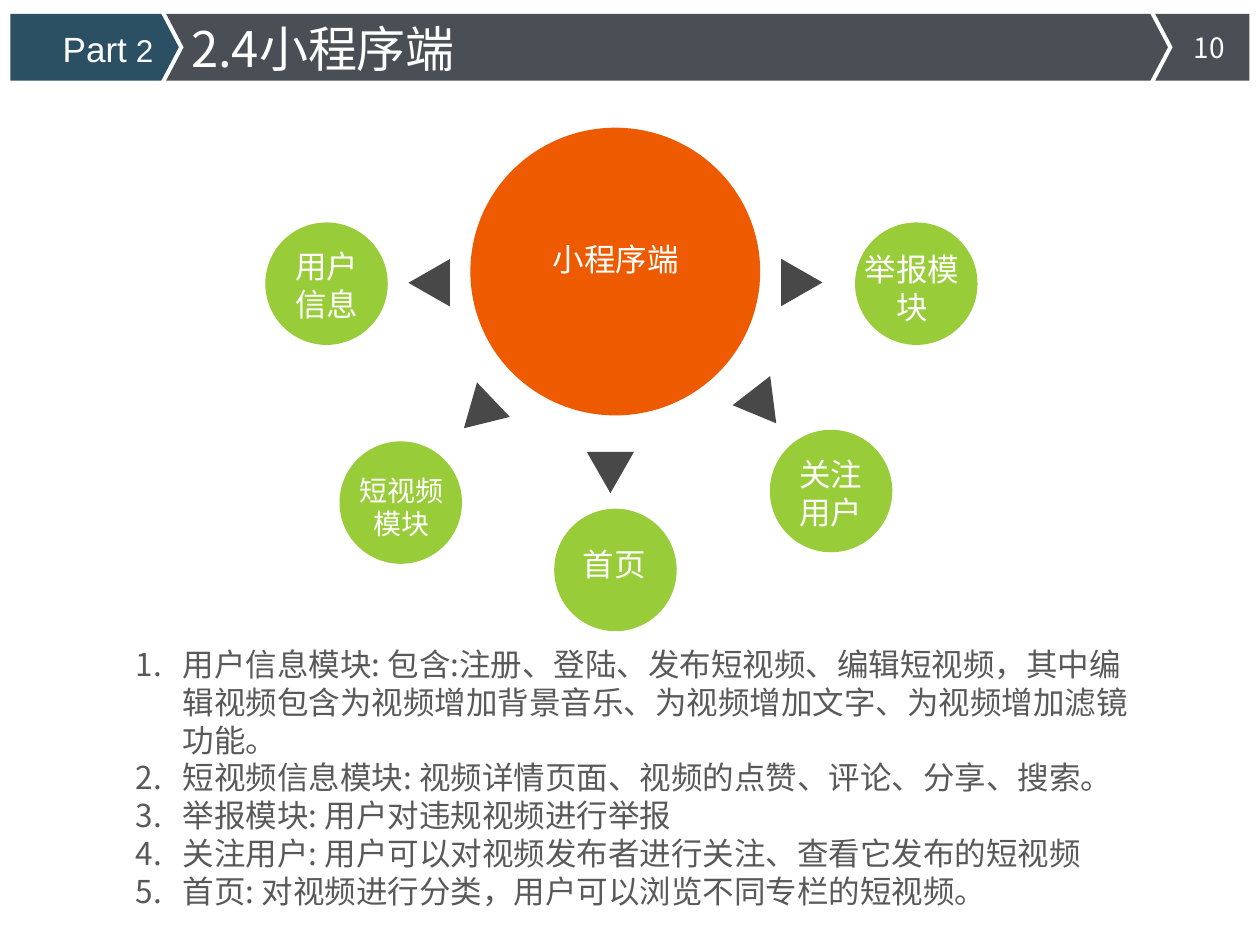
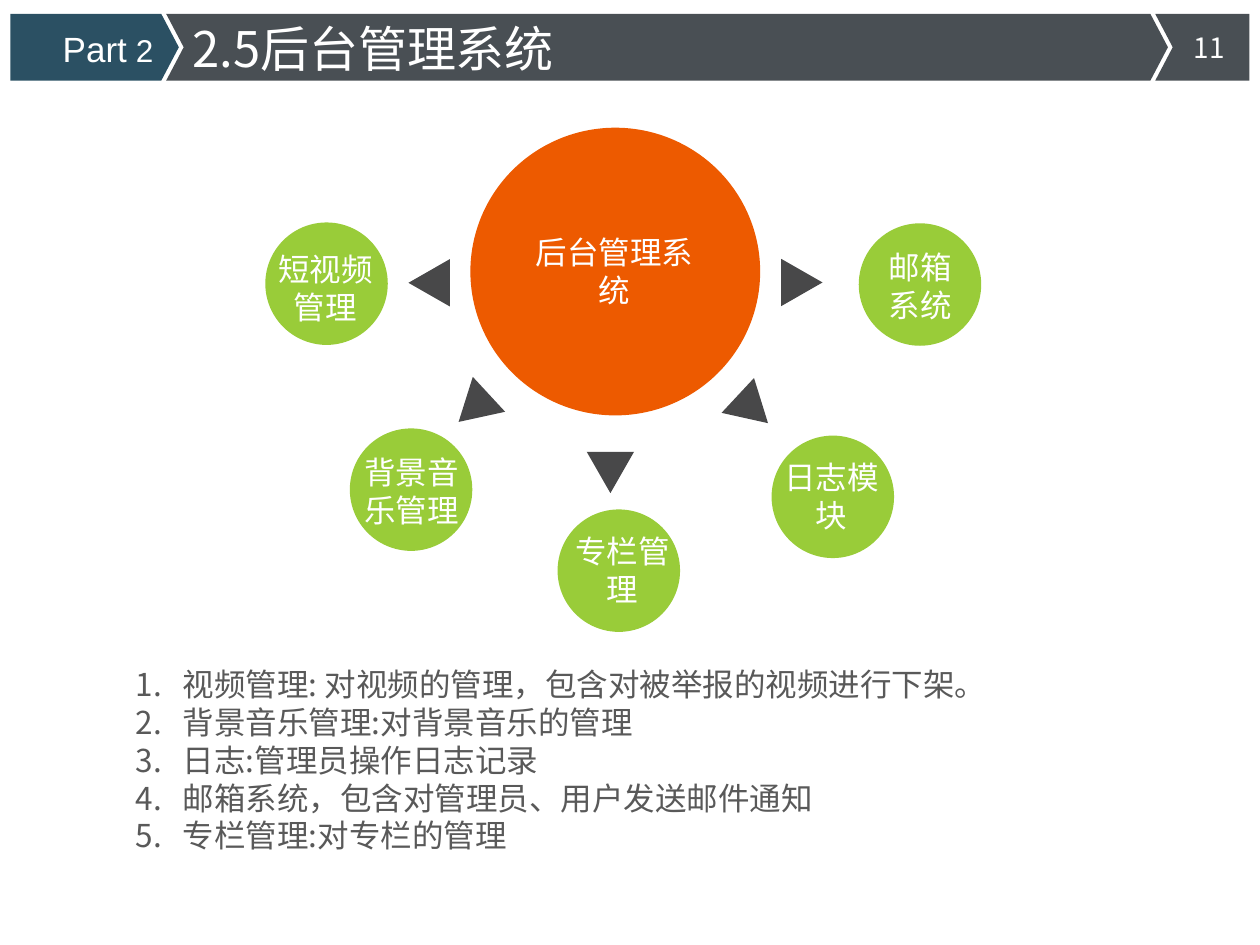
"""Build two module overview slides, each a hub with five satellites and a numbered list."""
from lxml import etree
from pptx import Presentation
from pptx.dml.color import RGBColor
from pptx.enum.shapes import MSO_SHAPE
from pptx.enum.text import PP_ALIGN
from pptx.oxml.ns import qn
from pptx.util import Pt

ELLIPSE, TRIANGLE = MSO_SHAPE.OVAL, MSO_SHAPE.ISOSCELES_TRIANGLE
LEFT, CENTER, RIGHT = PP_ALIGN.LEFT, PP_ALIGN.CENTER, PP_ALIGN.RIGHT

WHITE = RGBColor(0xFF, 0xFF, 0xFF)
TEAL = RGBColor(0x2B, 0x50, 0x63)
SLATE = RGBColor(0x49, 0x4F, 0x54)
ORANGE = RGBColor(0xED, 0x5A, 0x00)
GREEN = RGBColor(0x99, 0xCC, 0x39)
CHARCOAL = RGBColor(0x48, 0x48, 0x49)
GREY = RGBColor(0x59, 0x59, 0x59)
SANS, ARIAL = "Noto Sans CJK SC", "Arial"

BAND_TOP, BAND_MIDDLE, BAND_BOTTOM = 8, 27, 46
NOTCH = 10
BANDS = [
    (6, 92.2, False, True, TEAL),
    (95, 657.4, True, True, SLATE),
    (660.2, 714, True, False, SLATE),
]
HUB = (268.8, 73, 165.6, 164.4)
SATELLITE_SIZE = 70
ARROW_WIDTH, ARROW_HEIGHT = 27, 23.6
SHARED_ARROWS = [(245.2, 161.6, 270), (348.8, 270, 180), (458.2, 161.4, 90)]
LIST_INDENT = 27

SLIDES = [
    {
        "number": "10",
        "title": "2.4小程序端",
        "title_place": (102.2, 7.2, 172, 41),
        "hub": ("小程序端", 300.8, 133.4, 102.2),
        "satellites": [
            ("举报模块", 18, 523.6, 162.1, 485.2, 139.2, 72),
            ("首页", 18, 351.7, 325.7, 316, 308, 70),
            ("关注用户", 18, 474.9, 280.6, 445.6, 256.4, 58.3),
            ("短视频模块", 16, 229, 287.2, 192.3, 267, 74.2),
            ("用户信息", 18, 186.6, 162.1, 157.2, 137.6, 59),
        ],
        "arrows": [(275.4, 230, 346.2), (435.6, 225.8, 22.5)],
        "list_top": 365,
        "list": [
            "用户信息模块: 包含:注册、登陆、发布短视频、编辑短视频，其中编辑视频包含为视频增加背景音乐、为视频增加文字、为视频增加滤镜功能。",
            "短视频信息模块: 视频详情页面、视频的点赞、评论、分享、搜索。",
            "举报模块: 用户对违规视频进行举报",
            "关注用户: 用户可以对视频发布者进行关注、查看它发布的短视频",
            "首页: 对视频进行分类，用户可以浏览不同专栏的短视频。",
        ],
    },
    {
        "number": "11",
        "title": "2.5后台管理系统",
        "title_place": (102.8, 7.2, 240, 41),
        "hub": ("后台管理系统", 293.6, 129.8, 115.2),
        "satellites": [
            ("日志模块", 18, 475.9, 283.9, 439.2, 258.3, 72),
            ("专栏管理", 18, 353.6, 326.1, 320.6, 300.4, 70),
            ("邮箱系统", 18, 525.7, 162.6, 496.7, 138.4, 58.3),
            ("背景音乐管理", 18, 234.9, 279.8, 199.4, 255.2, 71.3),
            ("短视频管理", 18, 186.6, 162.1, 149.6, 139.4, 72.7),
        ],
        "arrows": [(277.4, 231.8, 107.5), (423.6, 232.4, 252.8)],
        "list_top": 376.6,
        "list": [
            "视频管理: 对视频的管理，包含对被举报的视频进行下架。",
            "背景音乐管理:对背景音乐的管理",
            "日志:管理员操作日志记录",
            "邮箱系统，包含对管理员、用户发送邮件通知",
            "专栏管理:对专栏的管理",
        ],
    },
]


def paint(shape, color):
    shape.shadow.inherit = False
    shape.fill.solid()
    shape.fill.fore_color.rgb = color
    shape.line.fill.background()


def add_solid(shapes, kind, left, top, width, height, color):
    shape = shapes.add_shape(kind, Pt(left), Pt(top), Pt(width), Pt(height))
    paint(shape, color)
    return shape


def add_span(para, text, size, color=WHITE, font=SANS):
    span = para.add_run()
    span.text = text
    span.font.size = Pt(size)
    span.font.color.rgb = color
    span.font.name = font
    etree.SubElement(span.font._element, qn("a:ea")).set("typeface", font)


def add_box(shapes, left, top, width, height, wrap=True):
    box = shapes.add_textbox(Pt(left), Pt(top), Pt(width), Pt(height))
    box.text_frame.word_wrap = wrap
    return box.text_frame


def add_label(shapes, place, spans, align=CENTER, wrap=True, font=SANS):
    para = add_box(shapes, *place, wrap=wrap).paragraphs[0]
    para.alignment = align
    for text, size in spans:
        add_span(para, text, size, font=font)


def add_band(shapes, left, right, notched, pointed, color):
    outline = [(left, BAND_TOP), (right, BAND_TOP)]
    if pointed:
        outline.append((right + NOTCH, BAND_MIDDLE))
    outline += [(right, BAND_BOTTOM), (left, BAND_BOTTOM)]
    if notched:
        outline.append((left + NOTCH, BAND_MIDDLE))
    points = [(Pt(x), Pt(y)) for x, y in outline]
    builder = shapes.build_freeform(*points[0])
    builder.add_line_segments(points[1:], close=True)
    paint(builder.convert_to_shape(), color)


def add_header(shapes, content):
    for band in BANDS:
        add_band(shapes, *band)
    add_label(shapes, (671.8, 13.7, 38.2, 30), [(content["number"], 16)])
    add_label(shapes, content["title_place"], [(content["title"], 28)],
              align=LEFT, wrap=False)
    add_label(shapes, (11.2, 12, 83.5, 31.7), [("Part", 20), (" 2", 18)],
              align=RIGHT, font=ARIAL)


def add_numbered_list(shapes, top, items):
    frame = add_box(shapes, 70.4, top, 584, 23 * len(items))
    for index, item in enumerate(items):
        para = frame.add_paragraph() if index else frame.paragraphs[0]
        settings = para._p.get_or_add_pPr()
        settings.set("marL", str(Pt(LIST_INDENT)))
        settings.set("indent", str(-Pt(LIST_INDENT)))
        etree.SubElement(settings, qn("a:buFont")).set("typeface", SANS)
        etree.SubElement(settings, qn("a:buAutoNum")).set("type", "arabicPeriod")
        add_span(para, item, 18, GREY)


def add_arrow(shapes, x, y, angle):
    arrow = add_solid(shapes, TRIANGLE, x - ARROW_WIDTH / 2, y - ARROW_HEIGHT / 2,
                      ARROW_WIDTH, ARROW_HEIGHT, CHARCOAL)
    arrow.rotation = angle


def add_satellite(shapes, label, size, x, y, left, top, width):
    group = shapes.add_group_shape().shapes
    add_solid(group, ELLIPSE, x - SATELLITE_SIZE / 2, y - SATELLITE_SIZE / 2,
              SATELLITE_SIZE, SATELLITE_SIZE, GREEN)
    add_label(group, (left, top, width, 50 if len(label) > 2 else 29), [(label, size)])


def add_page(deck, content):
    shapes = deck.slides.add_slide(deck.slide_layouts[6]).shapes
    add_header(shapes, content)
    add_numbered_list(shapes, content["list_top"], content["list"])
    for arrow in SHARED_ARROWS + content["arrows"]:
        add_arrow(shapes, *arrow)
    for satellite in content["satellites"]:
        add_satellite(shapes, *satellite)
    add_solid(shapes, ELLIPSE, *HUB, ORANGE)
    label, left, top, width = content["hub"]
    add_label(shapes, (left, top, width, 50 if len(label) > 4 else 29), [(label, 18)])


def main():
    deck = Presentation()
    deck.slide_width, deck.slide_height = Pt(720), Pt(540)
    for content in SLIDES:
        add_page(deck, content)
    deck.save("out.pptx")


if __name__ == "__main__":
    main()
